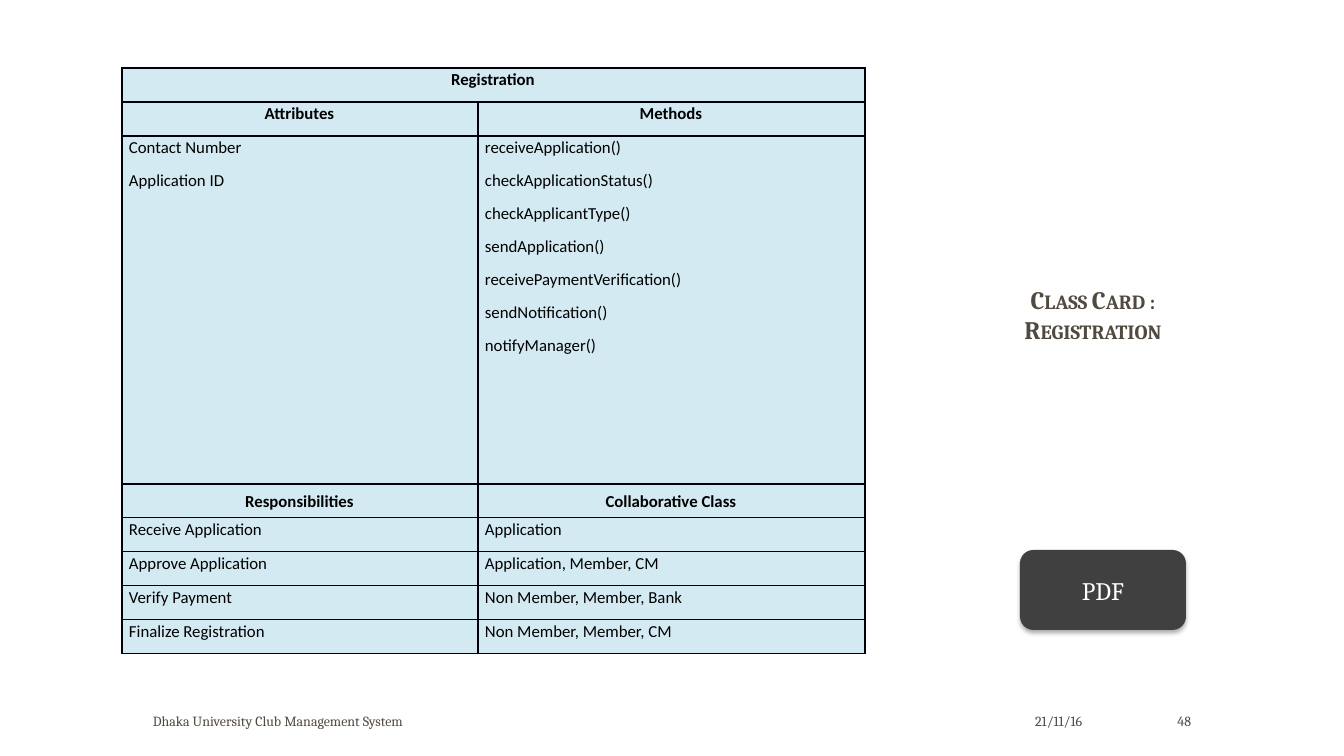
"""Build the class card slide for Registration."""
from lxml.etree import SubElement
from pptx import Presentation
from pptx.dml.color import RGBColor
from pptx.enum.shapes import MSO_SHAPE
from pptx.enum.text import MSO_ANCHOR, PP_ALIGN
from pptx.oxml import parse_xml
from pptx.oxml.ns import nsdecls, qn
from pptx.util import Pt

TITLE = "Class Card :\nRegistration"
BUTTON = "PDF"
CARD = [
    ("Registration", ""),
    ("Attributes", "Methods"),
    ("Contact Number\nApplication ID",
     "receiveApplication()\ncheckApplicationStatus()\ncheckApplicantType()\n"
     "sendApplication()\nreceivePaymentVerification()\nsendNotification()\n"
     "notifyManager()"),
    ("Responsibilities", "Collaborative Class"),
    ("Receive Application", "Application"),
    ("Approve Application", "Application, Member, CM"),
    ("Verify Payment", "Non Member, Member, Bank"),
    ("Finalize Registration", "Non Member, Member, CM"),
]
HEADS = (0, 1, 3)
MIDDLE = 3
TALL = 2
COLS = (356, 387)
ROW, BODY = 34, 348
FOOT = [
    ("21/11/16", 943, 149, PP_ALIGN.RIGHT),
    ("Dhaka University Club Management System", 143, 572, PP_ALIGN.LEFT),
    ("48", 1124, 77, PP_ALIGN.RIGHT),
]
INK, DARK, PALE, EDGE = "514A40", "404040", "D4EAF3", "00000A"


def px(n):
    return round(n * 914400 / 100.8)


def color(code):
    return RGBColor.from_string(code)


def style(frame, face, size, code, align, bold=False):
    for para in frame.paragraphs:
        para.alignment = align
        for run in para.runs:
            font = run.font
            font.name, font.size, font.bold = face, Pt(size), bold
            font.color.rgb = color(code)


def border(cell):
    props = cell._tc.get_or_add_tcPr()
    for side in "LRTB":
        props.append(parse_xml(
            f'<a:ln{side} {nsdecls("a")} w="12700"><a:solidFill>'
            f'<a:srgbClr val="{EDGE}"/></a:solidFill></a:ln{side}>'))


def fill_cell(cell, text, head, middle):
    border(cell)
    cell.fill.solid()
    cell.fill.fore_color.rgb = color(PALE)
    cell.margin_left, cell.margin_right = px(7), px(8)
    cell.margin_top = cell.margin_bottom = 0
    cell.vertical_anchor = MSO_ANCHOR.MIDDLE if middle else MSO_ANCHOR.TOP
    cell.text_frame.text = text
    align = PP_ALIGN.CENTER if head else PP_ALIGN.LEFT
    style(cell.text_frame, "Calibri", 12, "000000", align, head)
    for para in cell.text_frame.paragraphs:
        para.line_spacing, para.space_after = 1.07, Pt(8)


def add_card(slide):
    highs = [BODY if i == TALL else ROW for i in range(len(CARD))]
    table = slide.shapes.add_table(
        len(CARD), len(COLS), px(122), px(68),
        px(sum(COLS)), px(sum(highs))).table
    for col, wide in zip(table.columns, COLS):
        col.width = px(wide)
    for i, texts in enumerate(CARD):
        table.rows[i].height = px(highs[i])
        for j, text in enumerate(texts):
            fill_cell(table.cell(i, j), text, i in HEADS, i == MIDDLE)
    table.cell(0, 0).merge(table.cell(0, 1))


def add_title(slide):
    title = slide.shapes.title
    title.left, title.top = px(943), px(279)
    title.width, title.height = px(300), px(58)
    frame = title.text_frame
    frame.text = TITLE
    frame.vertical_anchor = MSO_ANCHOR.TOP
    style(frame, "Cambria", 18, INK, PP_ALIGN.CENTER, True)
    for para in frame.paragraphs:
        para.space_before = Pt(0)
        for run in para.runs:
            run._r.get_or_add_rPr().set("cap", "small")


def add_button(slide):
    box = slide.shapes.add_shape(
        MSO_SHAPE.ROUNDED_RECTANGLE, px(1020), px(550), px(166), px(80))
    box.fill.solid()
    box.fill.fore_color.rgb = color(DARK)
    box.line.fill.background()
    box.shadow.inherit = False
    glow = SubElement(
        box._element.spPr.find(qn("a:effectLst")), qn("a:outerShdw"),
        blurRad=str(Pt(3.5)), dist=str(Pt(2.2)), dir="5400000", rotWithShape="0")
    tint = SubElement(glow, qn("a:srgbClr"), val="000000")
    SubElement(tint, qn("a:alpha"), val="32000")
    box.text_frame.text = BUTTON
    box.text_frame.vertical_anchor = MSO_ANCHOR.MIDDLE
    style(box.text_frame, "Cambria", 18, "FFFFFF", PP_ALIGN.CENTER)


def add_foot(slide):
    for text, left, wide, align in FOOT:
        frame = slide.shapes.add_textbox(
            px(left), px(708), px(wide), px(26)).text_frame
        frame.word_wrap = True
        frame.vertical_anchor = MSO_ANCHOR.MIDDLE
        frame.text = text
        style(frame, "Cambria", 10, INK, align)


def main():
    deck = Presentation()
    deck.slide_width, deck.slide_height = px(1344), px(756)
    slide = deck.slides.add_slide(deck.slide_layouts[5])
    add_foot(slide)
    add_card(slide)
    add_title(slide)
    add_button(slide)
    deck.save("out.pptx")


if __name__ == "__main__":
    main()
